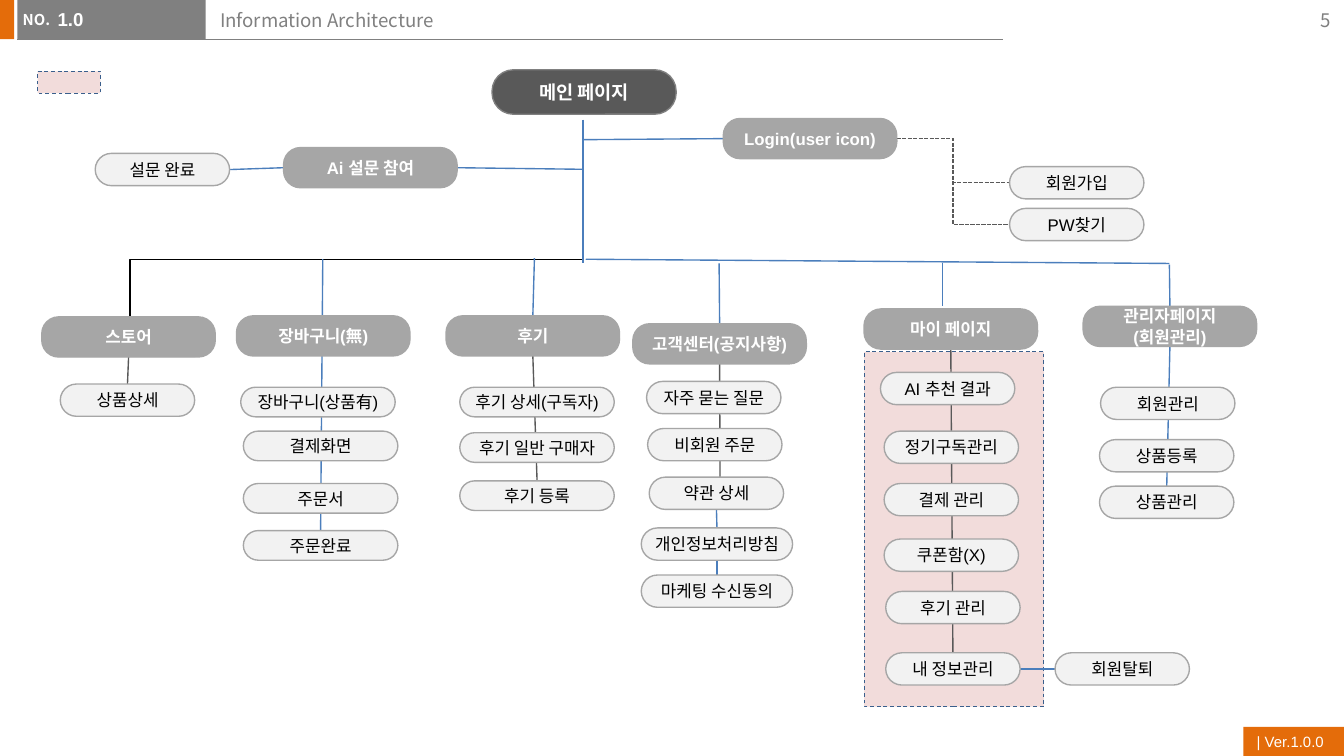
from pptx import Presentation
from pptx.dml.color import RGBColor
from pptx.enum.dml import MSO_LINE
from pptx.enum.shapes import MSO_CONNECTOR, MSO_SHAPE
from pptx.enum.text import MSO_ANCHOR, PP_ALIGN
from pptx.oxml.ns import qn
from pptx.util import Cm, Pt
from lxml.etree import SubElement

COLORS = {
    "orange": "E46C0A", "gray": "808080", "dark": "595959", "mid": "A6A6A6",
    "light": "F2F2F2", "pink": "F2DCDB", "navy": "3A5F8C", "blue": "4B7EBC",
    "white": "FFFFFF", "black": "000000",
}
KOREAN = "Noto Sans CJK KR"
TOP, LEFT, BOTTOM, RIGHT = range(4)

# left, top, width, height, fill
BARS = [
    (-0.03, 0, 0.3, 0.74, "orange"),
    (23.5, 13.74, 1.9, 0.55, "orange"),
    (0.33, 0, 3.56, 0.74, "gray"),
]
# left, top, width, height
HIGHLIGHTS = [(16.33, 6.65, 3.4, 6.71), (0.71, 1.35, 1.19, 0.41)]

# text, left, top, width, height, size, font, color, bold, left inset, alignment, anchor
LABELS = [
    ("NO.", 0.18, 0.08, 1.04, 0.61, 8, KOREAN, "white", True, 0.25, PP_ALIGN.LEFT, MSO_ANCHOR.TOP),
    ("1.0", 1.09, 0.03, 2.79, 0.79, 10, "Arial", "white", True, 0, PP_ALIGN.LEFT, MSO_ANCHOR.TOP),
    ("Information Architecture", 3.91, 0.05, 15.01, 0.81, 10, KOREAN, "gray", False, 0.25,
     PP_ALIGN.LEFT, MSO_ANCHOR.TOP),
    ("5", 23.88, 0, 1.52, 0.76, 10, KOREAN, "gray", False, 0.25, PP_ALIGN.RIGHT, MSO_ANCHOR.MIDDLE),
    ("| Ver.1.0.0", 23.5, 13.74, 1.9, 0.55, 8, "Arial", "white", False, 0.25,
     PP_ALIGN.LEFT, MSO_ANCHOR.MIDDLE),
]

# width, height, corner, fill, line, text color, size, bold
LEVELS = {
    "main": (3.48, 0.84, 0.48, "dark", "gray", "white", 10, True),
    "menu": (3.28, 0.76, 0.42, "mid", "mid", "white", 9, True),
    "page": (2.54, 0.61, 0.5, "light", "mid", "black", 9, False),
    "step": (2.92, 0.56, 0.5, "light", "mid", "black", 9, False),
    "policy": (2.86, 0.61, 0.5, "light", "mid", "black", 9, False),
}
# level: (text, left, top)
PAGES = {
    "main": [("메인 페이지", 9.3, 1.32)],
    "menu": [
        ("Login(user icon)", 13.67, 2.24), ("Ai 설문 참여", 5.36, 2.79),
        ("스토어", 0.79, 5.99), ("장바구니(無)", 4.47, 5.97), ("후기", 8.43, 5.97),
        ("고객센터(공지사항)", 11.96, 6.12), ("마이 페이지", 16.33, 5.84),
        ("관리자페이지(회원관리)", 20.47, 5.79),
    ],
    "page": [
        ("설문 완료", 1.8, 2.9), ("회원가입", 19.08, 3.15), ("PW찾기", 19.08, 3.94),
        ("상품상세", 1.14, 7.26),
        ("자주 묻는 질문", 12.22, 7.21), ("비회원 주문", 12.24, 8.1), ("약관 상세", 12.27, 9.02),
        ("AI 추천 결과", 16.64, 7.04), ("정기구독관리", 16.71, 8.15), ("결제 관리", 16.71, 9.14),
        ("쿠폰함(X)", 16.71, 10.19), ("후기 관리", 16.74, 11.18), ("내 정보관리", 16.74, 12.34),
        ("회원탈퇴", 19.94, 12.34),
        ("회원관리", 20.8, 7.32), ("상품등록", 20.78, 8.31), ("상품관리", 20.78, 9.19),
    ],
    "step": [
        ("장바구니(상품有)", 4.55, 7.32), ("결제화면", 4.6, 8.15),
        ("주문서", 4.6, 9.14), ("주문완료", 4.6, 10.03),
        ("후기 상세(구독자)", 8.69, 7.32), ("후기 일반 구매자", 8.69, 8.18), ("후기 등록", 8.69, 9.09),
    ],
    "policy": [("개인정보처리방침", 12.12, 9.98), ("마케팅 수신동의", 12.12, 10.87)],
}

# Each end is a point (x, y) or a side of a page (text, side)
LINKS = [
    ((11.02, 2.26), (11.02, 4.98), "blue"),
    ((11.02, 2.64), ("Login(user icon)", LEFT), "blue"),
    ((11.02, 3.2), ("Ai 설문 참여", RIGHT), "blue"),
    (("설문 완료", RIGHT), ("Ai 설문 참여", LEFT), "blue"),
    ((11.07, 4.9), (22.1, 4.98), "blue"),
    ((6.1, 4.9), ("주문완료", TOP), "blue"),
    ((10.1, 4.88), ("후기", TOP), "blue"),
    ((13.59, 4.98), ("고객센터(공지사항)", TOP), "blue"),
    ((17.81, 4.98), (17.81, 5.79), "blue"),
    ((22.1, 5), ("관리자페이지(회원관리)", TOP), "blue"),
    (("스토어", BOTTOM), ("상품상세", TOP), "dark"),
    (("후기", BOTTOM), ("후기 등록", TOP), "dark"),
    (("고객센터(공지사항)", BOTTOM), (13.61, 9.58), "dark"),
    (("약관 상세", BOTTOM), ("개인정보처리방침", TOP), "blue"),
    (("개인정보처리방침", BOTTOM), ("마케팅 수신동의", TOP), "blue"),
    (("마이 페이지", BOTTOM), ("내 정보관리", TOP), "dark"),
    (("내 정보관리", RIGHT), ("회원탈퇴", LEFT), "blue"),
    (("관리자페이지(회원관리)", BOTTOM), ("상품관리", TOP), "blue"),
]
LOGIN_PAGES = ["회원가입", "PW찾기"]
STORE_ROUTE = ((11.02, 3.71), (2.46, 6.1))


def rgb(name):
    return RGBColor.from_string(COLORS[name])


def add_block(kind, box, fill, line=None, weight=0.75):
    block = slide.shapes.add_shape(kind, *map(Cm, box))
    block.shadow.inherit = False
    block.fill.solid()
    block.fill.fore_color.rgb = rgb(fill)
    if line:
        block.line.color.rgb = rgb(line)
        block.line.width = Pt(weight)
    else:
        block.line.fill.background()
    return block


def write(frame, text, size, font, color, bold, align, anchor):
    frame.vertical_anchor = anchor
    paragraph = frame.paragraphs[0]
    paragraph.alignment = align
    run = paragraph.add_run()
    run.text = text
    run.font.size, run.font.bold, run.font.name = Pt(size), bold, font
    run.font.color.rgb = rgb(color)
    SubElement(run.font._element, qn("a:ea"), typeface=KOREAN)


def add_link(start, end, color, kind=MSO_CONNECTOR.STRAIGHT, weight=0.75):
    """Draw a connector behind the pages, joined to any page named at an end."""
    points = [(0, 0) if isinstance(e[0], str) else e for e in (start, end)]
    link = slide.shapes.add_connector(kind, *(Cm(v) for point in points for v in point))
    for place, join in ((start, link.begin_connect), (end, link.end_connect)):
        if isinstance(place[0], str):
            join(pages[place[0]], place[1])
    link.line.color.rgb = rgb(color)
    link.line.width = Pt(weight)
    SubElement(link._element.spPr, qn("a:effectLst"))
    tree.insert(backdrop_count, link._element)
    return link


def add_vertical_elbow(start, end, color):
    """Go down, across and down again: an elbow turned by 90 degrees about its centre."""
    (x1, y1), (x2, y2) = start, end
    center_x, center_y = (x1 + x2) / 2, (y1 + y2) / 2
    half_width, half_height = (y2 - y1) / 2, (x1 - x2) / 2
    link = add_link((center_x - half_width, center_y - half_height),
                    (center_x + half_width, center_y + half_height), color, MSO_CONNECTOR.ELBOW)
    link._element.spPr.find(qn("a:xfrm")).set("rot", str(90 * 60000))


prs = Presentation()
prs.slide_width, prs.slide_height = Cm(25.4), Cm(14.29)
slide = prs.slides.add_slide(prs.slide_layouts[6])
tree = slide.shapes._spTree

for *box, fill in BARS:
    add_block(MSO_SHAPE.RECTANGLE, box, fill)
for box in HIGHLIGHTS:
    add_block(MSO_SHAPE.RECTANGLE, box, "pink", "navy", 0.5).line.dash_style = MSO_LINE.DASH
for text, left, top, width, height, size, font, color, bold, inset, align, anchor in LABELS:
    frame = slide.shapes.add_textbox(Cm(left), Cm(top), Cm(width), Cm(height)).text_frame
    frame.word_wrap = text != "NO."
    frame.margin_left = Cm(inset)
    write(frame, text, size, font, color, bold, align, anchor)
backdrop_count = len(tree)

pages = {}
for level, entries in PAGES.items():
    width, height, corner, fill, line, color, size, bold = LEVELS[level]
    for text, left, top in entries:
        page = add_block(MSO_SHAPE.ROUNDED_RECTANGLE, (left, top, width, height), fill, line)
        page.adjustments[0] = corner
        frame = page.text_frame
        frame.word_wrap = True
        frame.margin_left = frame.margin_right = frame.margin_top = frame.margin_bottom = Cm(0.05)
        write(frame, text, size, "Arial", color, bold, PP_ALIGN.CENTER, MSO_ANCHOR.MIDDLE)
        pages[text] = page

add_link((0.33, 0.74), (18.95, 0.74), "gray", weight=0.5)
for start, end, color in LINKS:
    add_link(start, end, color)
for text in LOGIN_PAGES:
    branch = add_link(("Login(user icon)", RIGHT), (text, LEFT), "dark", MSO_CONNECTOR.ELBOW)
    branch.line.dash_style = MSO_LINE.SQUARE_DOT
add_vertical_elbow(*STORE_ROUTE, "black")

prs.save("out.pptx")
